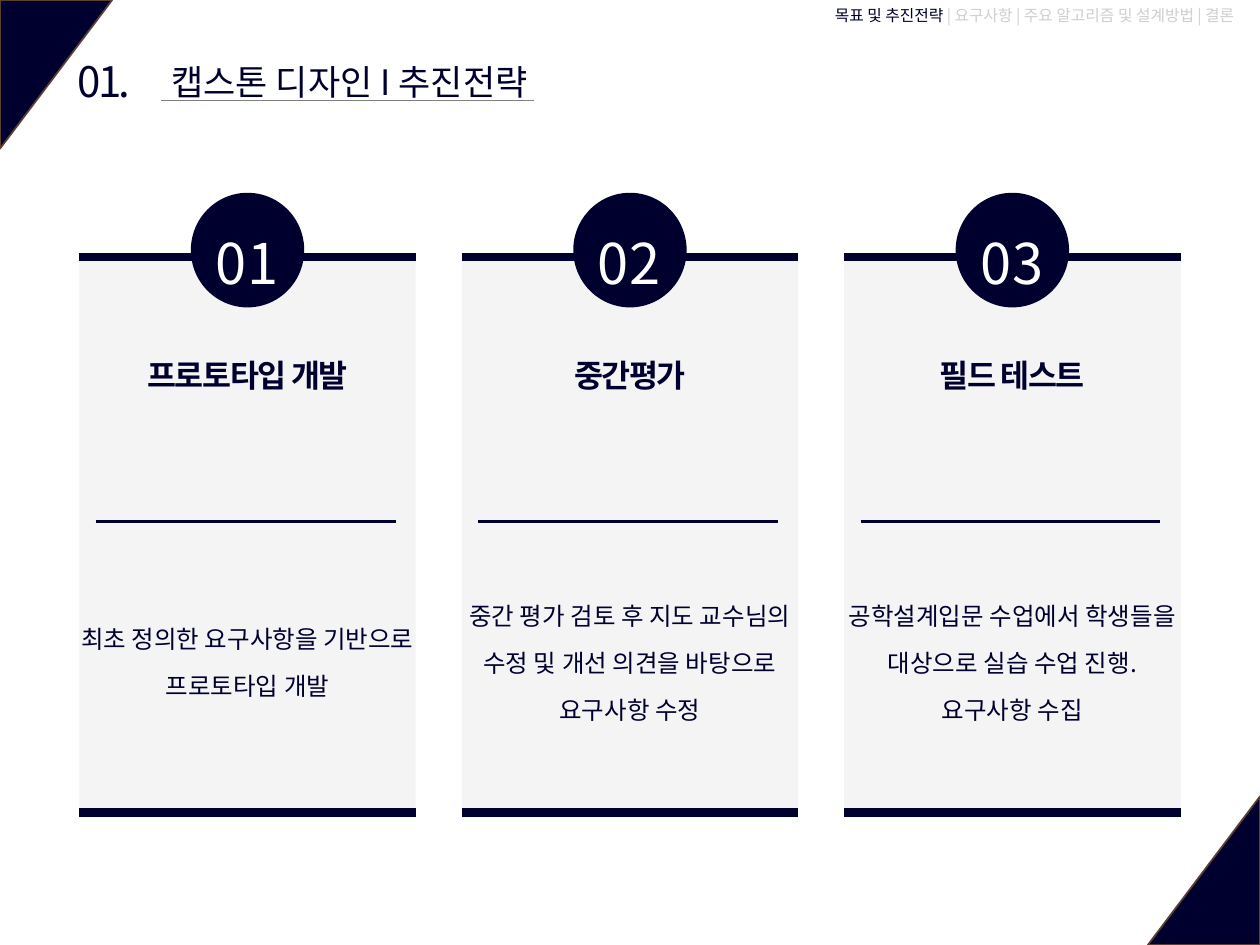
from lxml import etree
from pptx import Presentation
from pptx.dml.color import RGBColor
from pptx.enum.shapes import MSO_CONNECTOR, MSO_SHAPE
from pptx.enum.text import PP_ALIGN
from pptx.oxml.ns import qn
from pptx.util import Inches, Pt

NAVY = RGBColor(0x00, 0x00, 0x2F)
BROWN = RGBColor(0x5B, 0x3F, 0x33)
PALE = RGBColor(0xF4, 0xF4, 0xF4)
SILVER = RGBColor(0xD0, 0xCE, 0xCE)
GRAY = RGBColor(0x80, 0x80, 0x80)
WHITE = RGBColor(0xFF, 0xFF, 0xFF)
RECTANGLE = MSO_SHAPE.RECTANGLE
OVAL = MSO_SHAPE.OVAL
TRIANGLE = MSO_SHAPE.ISOSCELES_TRIANGLE
STRAIGHT = MSO_CONNECTOR.STRAIGHT
CENTER = PP_ALIGN.CENTER

FONT = "Noto Sans CJK KR"
SLIDE_W, SLIDE_H = 10, 7.5
CARD_LEFT, CARD_TOP, CARD_W, CARD_H = 0.63, 2.04, 2.67, 4.45
CARD_STEP = 3.035

HEADING = {"size": Pt(18), "bold": True}
BODY = {"size": Pt(14)}
NUMBER = {"size": Pt(32)}
NAV = {"size": Pt(9)}
TITLE = {"size": Pt(20)}
SECTION = {"size": Pt(24)}

CARDS = [
    ("01", "프로토타입 개발", ["최초 정의한 요구사항을 기반으로 프로토타입 개발"], 2),
    ("02", "중간평가", ["중간 평가 검토 후 지도 교수님의 수정 및 개선 의견을 바탕으로 요구사항 수정"], 3),
    ("03", "필드 테스트", ["공학설계입문 수업에서 학생들을 대상으로 실습 수업 진행.", "요구사항 수집"], 3),
]


def add_block(s, kind, box, fill, line=None):
    sp = s.shapes.add_shape(kind, *map(Inches, box))
    sp.shadow.inherit = False
    sp.fill.solid()
    sp.fill.fore_color.rgb = fill
    if line is None:
        sp.line.fill.background()
    else:
        sp.line.color.rgb = line
        sp.line.width = Pt(1)
    return sp


def add_rule(s, x, y, w, color, weight):
    sp = s.shapes.add_connector(STRAIGHT, *map(Inches, (x, y, x + w, y)))
    sp.line.color.rgb = color
    sp.line.width = Pt(weight)
    etree.SubElement(sp._element.spPr, qn("a:effectLst"))


def add_text(s, box, paragraphs, style, insets=None, leading=None, spacing=0, wrap=True):
    tf = s.shapes.add_textbox(*map(Inches, box)).text_frame
    tf.word_wrap = wrap
    if insets:
        for side, value in zip(("left", "top", "right", "bottom"), insets):
            setattr(tf, f"margin_{side}", Inches(value))
    for i, runs in enumerate(paragraphs):
        p = tf.add_paragraph() if i else tf.paragraphs[0]
        p.alignment = CENTER
        if leading:
            p.line_spacing = Pt(leading)
        for text, color in runs:
            r = p.add_run()
            r.text = text
            r.font.name = FONT
            r.font.color.rgb = color
            for name, value in style.items():
                setattr(r.font, name, value)
            rPr = r.font._element
            etree.SubElement(rPr, qn("a:ea"), typeface=FONT)
            if spacing:
                rPr.set("spc", str(round(spacing * 100)))


def add_corners(s, w, h):
    offset = (h - w) / 2
    for x, y, angle in (
        (-offset, offset, 90),
        (SLIDE_W - w - offset, SLIDE_H - h + offset, 270),
    ):
        sp = add_block(s, TRIANGLE, (x, y, h, w), NAVY, BROWN)
        sp.adjustments[0] = 0
        sp.rotation = angle


def add_header(s, x, y):
    add_text(s, (SLIDE_W - 3.58, 0, 3.58, 0.25),
             [[("목표 및 추진전략 ", NAVY), ("| 요구사항 | 주요 알고리즘 및 설계방법 | 결론", SILVER)]], NAV)
    add_rule(s, x + 0.77, y + 0.41, 2.96, GRAY, 0.5)
    add_text(s, (x + 0.64, y + 0.04, 3.31, 0.44),
             [[("캡스톤 디자인 I 추진전략 ", NAVY)]], TITLE, wrap=False)
    add_text(s, (x, y, 0.63, 0.5), [[("01.", NAVY)]], SECTION, spacing=-1.5, wrap=False)


def add_card(s, x, y, w, h, number, heading, body, lines):
    flush = (0, 0, 0, 0)
    mid = x + w / 2
    add_block(s, RECTANGLE, (x, y, w, h), PALE)
    for rule_y in (y, y + h - 0.04):
        add_rule(s, x, rule_y, w, NAVY, 5)
    add_text(s, (x, y + 0.43, w, 1.33), [[(heading, NAVY)]], HEADING,
             insets=(0, 0.41, 0, 0), spacing=-0.8)
    body_h = 0.37 * lines
    add_text(s, (x, y + 3.14 - body_h / 2, w, body_h),
             [[(text, NAVY)] for text in body], BODY, insets=flush, leading=27)
    add_block(s, OVAL, (mid - 0.45, y - 0.51, 0.9, 0.91), NAVY)
    add_text(s, (mid - 0.5, y - 0.49, 0.99, 0.74), [[(number, WHITE)]], NUMBER,
             insets=flush, leading=57.6, spacing=0.5)
    add_rule(s, x + 0.13, y + 2.1, 2.38, NAVY, 1.5)


def main():
    prs = Presentation()
    prs.slide_width, prs.slide_height = Inches(SLIDE_W), Inches(SLIDE_H)
    s = prs.slides.add_slide(prs.slide_layouts[6])
    add_corners(s, 0.89, 1.18)
    for i, card in enumerate(CARDS):
        add_card(s, CARD_LEFT + i * CARD_STEP, CARD_TOP, CARD_W, CARD_H, *card)
    add_header(s, 0.51, 0.39)
    prs.save("out.pptx")


if __name__ == "__main__":
    main()
